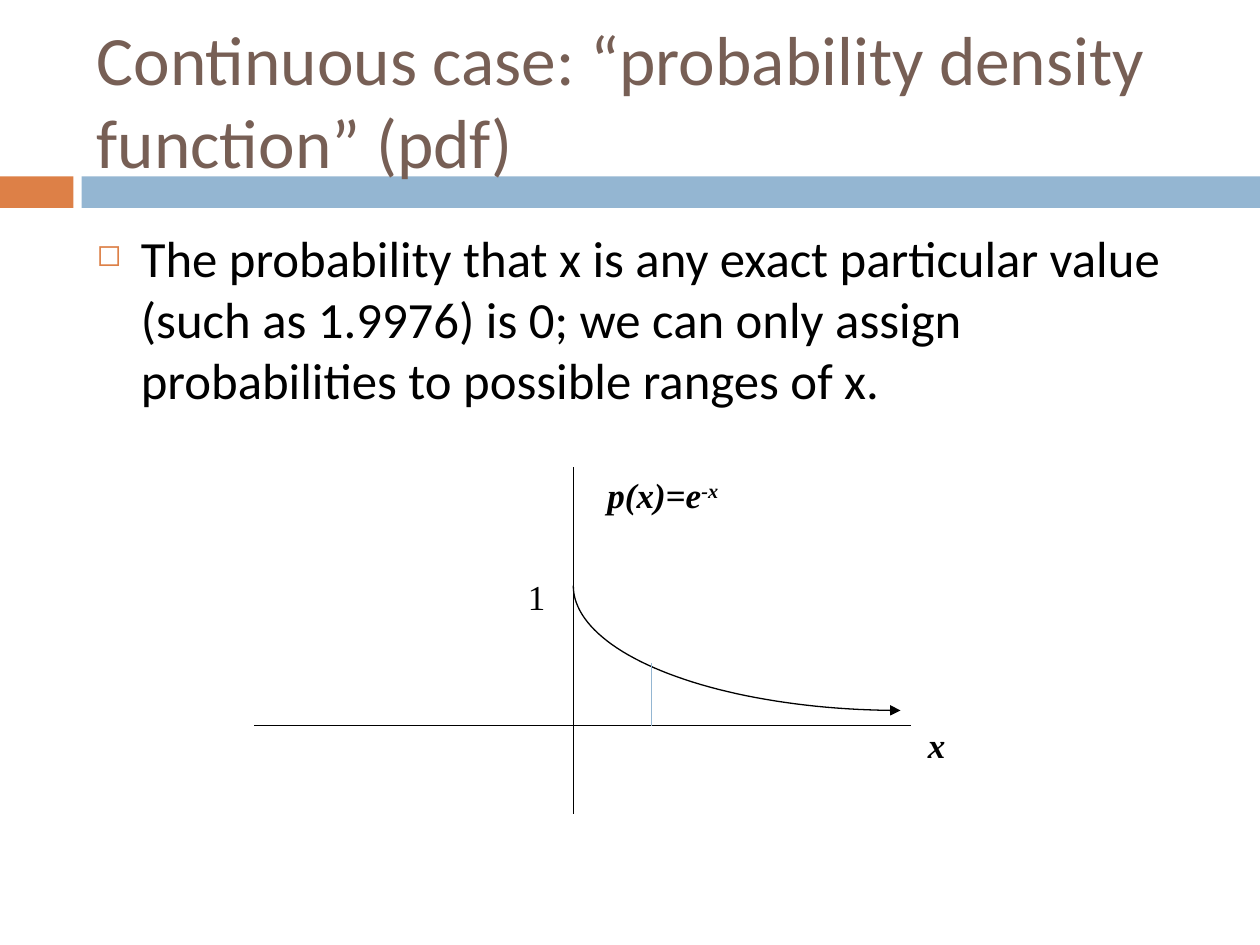
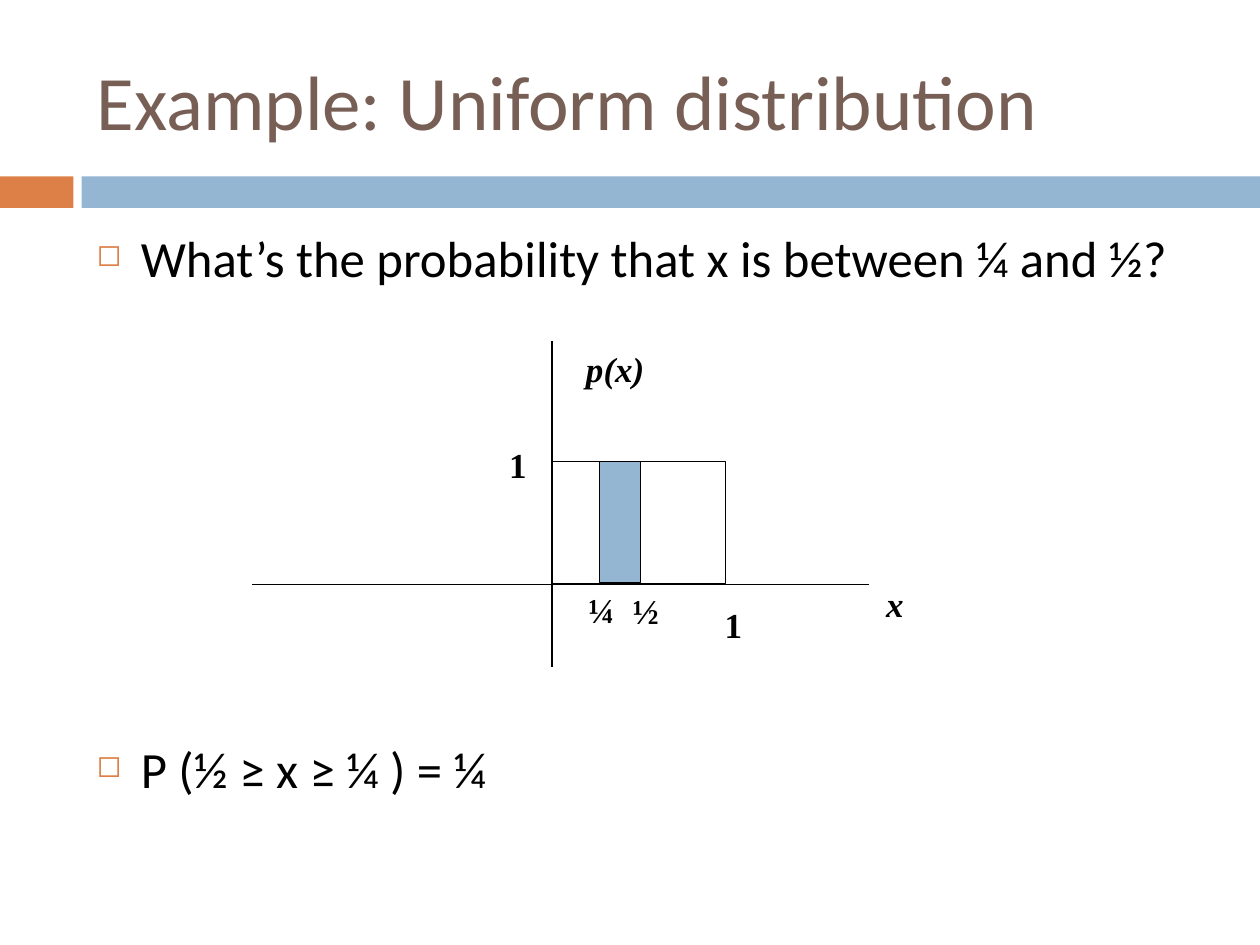
import math

from lxml import etree
from pptx import Presentation
from pptx.dml.color import RGBColor
from pptx.enum import shapes, text
from pptx.oxml.ns import qn
from pptx.util import Pt

COLOURS = {
    "title": "775F55",
    "accent": "DD8047",
    "band": "94B6D2",
    "ink": "000000",
}
BODY_FONT, MATH_FONT = "Calibri", "Times New Roman"
SLIDE_WIDTH, SLIDE_HEIGHT = 720, 540
TITLE_BOX = (48.2, 18, 642.2, 77.8)
BODY_BOX = (48.2, 126, 642.2, 354.2)
BAND_TOP, BAND_HEIGHT = 100.8, 18
BAND_SPLIT = (42, 46.6)
BULLET_INDENT = 25.2
NORMAL = {"size": Pt(20), "name": MATH_FONT}
BOLD = {**NORMAL, "bold": True}
VARIABLE = {**BOLD, "italic": True}


def colour(name):
    return RGBColor.from_string(COLOURS[name])


def add_run(paragraph, content, formats, colour_name="ink"):
    run = paragraph.add_run()
    run.text = content
    for name, value in formats.items():
        setattr(run.font, name, value)
    run.font.color.rgb = colour(colour_name)
    return run


def add_text_frame(parent, box, inset=True):
    frame = parent.add_textbox(*map(Pt, box)).text_frame
    frame.word_wrap = True
    margins = (7.2, 3.6) if inset else (0, 0)
    for side, margin in zip(("left", "top", "right", "bottom"), margins * 2):
        setattr(frame, f"margin_{side}", Pt(margin))
    return frame


def add_label(parent, box, content, formats, inset=False):
    paragraph = add_text_frame(parent, box, inset).paragraphs[0]
    add_run(paragraph, content, formats)
    return paragraph


def add_rectangle(parent, box, fill=None, line=None):
    shape = parent.add_shape(shapes.MSO_SHAPE.RECTANGLE, *map(Pt, box))
    shape.shadow.inherit = False
    if fill:
        shape.fill.solid()
        shape.fill.fore_color.rgb = colour(fill)
    else:
        shape.fill.background()
    if line:
        shape.line.color.rgb = colour(line)
        shape.line.width = Pt(0.75)
    else:
        shape.line.fill.background()


def add_line(parent, start, end, colour_name="ink"):
    line = parent.add_connector(shapes.MSO_CONNECTOR.STRAIGHT, *map(Pt, start + end))
    line.line.color.rgb = colour(colour_name)
    line.line.width = Pt(0.75)
    etree.SubElement(line.element.spPr, qn("a:effectLst"))


def add_bands(slide):
    left_end, right_start = BAND_SPLIT
    add_rectangle(slide.shapes, (0, BAND_TOP, left_end, BAND_HEIGHT), "accent")
    add_rectangle(slide.shapes, (right_start, BAND_TOP, SLIDE_WIDTH - right_start,
                                 BAND_HEIGHT), "band")


def add_title(slide, box, content, size):
    frame = add_text_frame(slide.shapes, box)
    frame.vertical_anchor = text.MSO_ANCHOR.MIDDLE
    add_run(frame.paragraphs[0], content, {"size": Pt(size), "name": BODY_FONT}, "title")


def set_bullet(paragraph):
    properties = paragraph._p.get_or_add_pPr()
    properties.set("marL", str(Pt(BULLET_INDENT)))
    properties.set("indent", str(-Pt(BULLET_INDENT)))
    bullet_colour = etree.SubElement(properties, qn("a:buClr"))
    etree.SubElement(bullet_colour, qn("a:srgbClr"), val=COLOURS["accent"])
    etree.SubElement(properties, qn("a:buSzPct"), val="60000")
    etree.SubElement(properties, qn("a:buChar"), char="◻")


def add_body(slide, box, bullets):
    """Write bullets given as (space before, content) pairs."""
    frame = add_text_frame(slide.shapes, box)
    for index, (space, content) in enumerate(bullets):
        paragraph = frame.add_paragraph() if index else frame.paragraphs[0]
        paragraph.space_before = Pt(space)
        set_bullet(paragraph)
        add_run(paragraph, content, {"size": Pt(29), "name": BODY_FONT})


def add_axes(parent, box, origin, function_label):
    """Draw crossing axes with their names; return the name of the vertical one."""
    left, top, width, height = box
    x, y = origin
    add_line(parent, (x, top), (x, top + height))
    add_line(parent, (left, y), (left + width, y))
    add_label(parent, (left + width + 2.5, y - 5, 36, 36), "x", VARIABLE, inset=True)
    return add_label(parent, (x + 12.4, top, 100, 32), function_label, VARIABLE, inset=True)


def add_decay_curve(parent, start, width, height, steps=48):
    """Draw a quarter ellipse that falls from start and ends level, with an arrow."""
    x, y = start
    points = []
    for step in range(steps + 1):
        angle = math.pi / 2 * step / steps
        points.append((Pt(x + width * (1 - math.cos(angle))),
                       Pt(y + height * math.sin(angle))))
    builder = parent.build_freeform(*points[0])
    builder.add_line_segments(points[1:], close=False)
    curve = builder.convert_to_shape()
    curve.shadow.inherit = False
    curve.fill.background()
    curve.line.color.rgb = colour("ink")
    curve.line.width = Pt(0.75)
    etree.SubElement(curve.line._get_or_add_ln(), qn("a:tailEnd"), type="triangle")


def add_exponential_plot(slide, box):
    left, top = box[:2]
    x, y = origin = (left + 182.2, top + 147.6)
    plot = slide.shapes.add_group_shape().shapes
    name = add_axes(plot, box, origin, "p(x)=e")
    exponent = add_run(name, "-x", VARIABLE)
    exponent.font._element.set("baseline", "30000")
    add_decay_curve(plot, (x, y - 80), 187, 71.3)
    add_label(plot, (x - 26, y - 85.7, 10, 21.6), "1", NORMAL)
    add_line(slide.shapes, (x + 44.6, y - 36), (x + 44.6, y), "band")


def add_uniform_plot(slide, box):
    left, top = box[:2]
    x, y = origin = (left + 171.4, top + 139)
    density_height = 70.4
    plot = slide.shapes.add_group_shape().shapes
    add_axes(plot, box, origin, "p(x)")
    add_rectangle(plot, (x, y - density_height, 99.2, density_height - 0.6), line="ink")
    add_rectangle(plot, (x + 27.3, y - density_height, 23.2, density_height - 1),
                  "band", "ink")
    for content, right, down, width in (("1", -24.5, -80.7, 10), ("1", 98.6, 10.8, 10),
                                        ("¼", 20.8, 2.1, 21.6), ("½", 46.2, 3, 21.6)):
        add_label(plot, (x + right, y + down, width, 24), content, BOLD)


def add_content_slide(presentation, title, title_size, bullets):
    slide = presentation.slides.add_slide(presentation.slide_layouts[6])
    add_bands(slide)
    add_title(slide, TITLE_BOX, title, title_size)
    add_body(slide, BODY_BOX, bullets)
    return slide


def main():
    presentation = Presentation()
    presentation.slide_width, presentation.slide_height = Pt(SLIDE_WIDTH), Pt(SLIDE_HEIGHT)

    density = add_content_slide(
        presentation, "Continuous case: “probability density function” (pdf)", 39.6,
        [(7, "The probability that x is any exact particular value (such as 1.9976) is 0; "
             "we can only assign probabilities to possible ranges of x.")])
    add_exponential_plot(density, (145.4, 267.1, 375.2, 198))

    uniform = add_content_slide(
        presentation, "Example: Uniform distribution", 44,
        [(7, "What’s the probability that x is between ¼ and ½?"),
         (257, "P (½ ≥ x ≥ ¼ ) = ¼")])
    add_uniform_plot(uniform, (144, 195.1, 352.8, 185.8))

    presentation.save("out.pptx")


if __name__ == "__main__":
    main()
